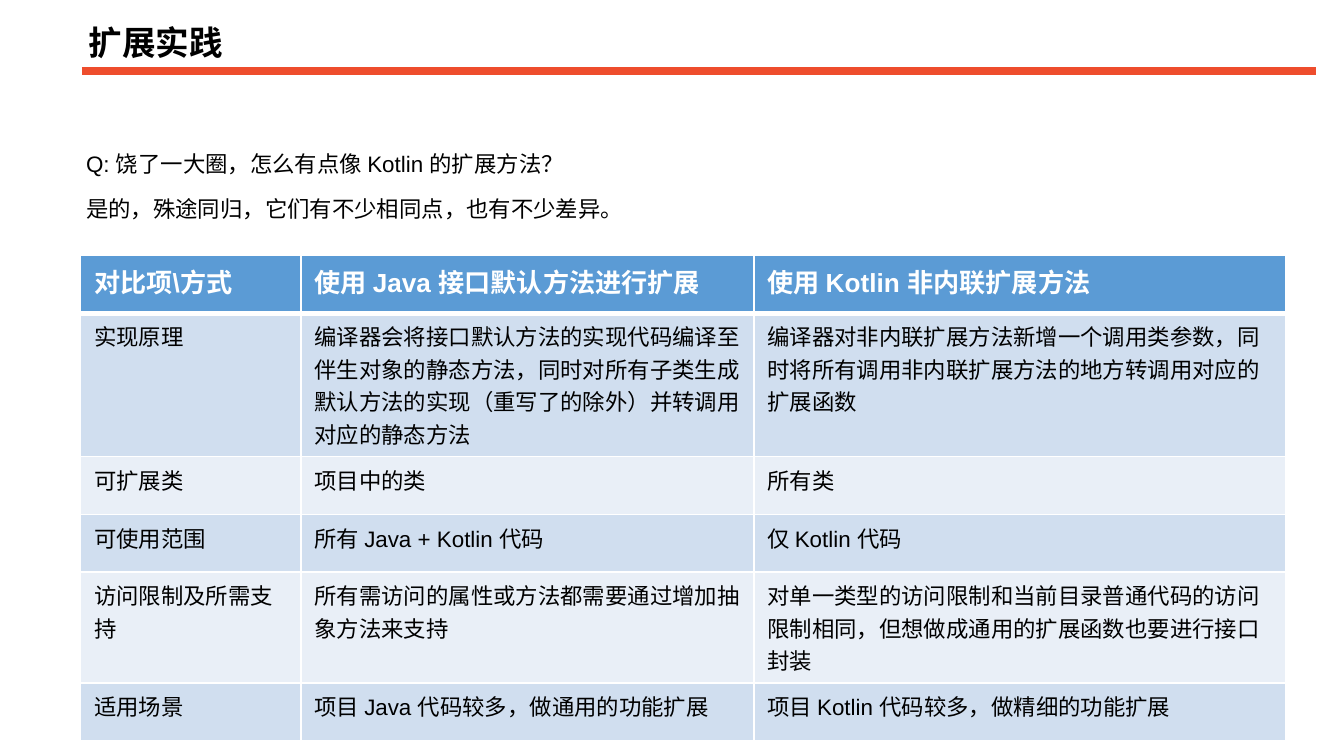
from lxml import etree
from pptx import Presentation
from pptx.dml.color import RGBColor
from pptx.enum.shapes import MSO_CONNECTOR
from pptx.enum.text import MSO_ANCHOR, MSO_AUTO_SIZE, PP_ALIGN
from pptx.oxml.ns import qn
from pptx.util import Inches, Pt

STRAIGHT = MSO_CONNECTOR.STRAIGHT
TOP, BOTTOM = MSO_ANCHOR.TOP, MSO_ANCHOR.BOTTOM
LEFT = PP_ALIGN.LEFT
NO_FIT = MSO_AUTO_SIZE.NONE
FONT = "Arial"
BLACK, WHITE, RED = "000000", "FFFFFF", "EE4D2D"
BLUE, BANDS = "5B9BD5", ("D0DEEF", "E9EFF7")

TITLE = "扩展实践"
TALK = ("Q: 饶了一大圈，怎么有点像 Kotlin 的扩展方法？",
        "是的，殊途同归，它们有不少相同点，也有不少差异。")
COLS = (1.64, 3.37, 3.96)
ROWS = (
    (0.43, "对比项\\方式", "使用 Java 接口默认方法进行扩展", "使用 Kotlin 非内联扩展方法"),
    (0.81, "实现原理",
     "编译器会将接口默认方法的实现代码编译至伴生对象的静态方法，同时对所有子类生成默认方法的实现（重写了的除外）并转调用对应的静态方法",
     "编译器对非内联扩展方法新增一个调用类参数，同时将所有调用非内联扩展方法的地方转调用对应的扩展函数"),
    (0.43, "可扩展类", "项目中的类", "所有类"),
    (0.43, "可使用范围", "所有 Java + Kotlin 代码", "仅 Kotlin 代码"),
    (0.63, "访问限制及所需支持",
     "所有需访问的属性或方法都需要通过增加抽象方法来支持",
     "对单一类型的访问限制和当前目录普通代码的访问限制相同，但想做成通用的扩展函数也要进行接口封装"),
    (0.43, "适用场景", "项目 Java 代码较多，做通用的功能扩展",
     "项目 Kotlin 代码较多，做精细的功能扩展"),
)


def rgb(code):
    return RGBColor.from_string(code)


def style(para, size, color=BLACK, bold=False):
    para.alignment = LEFT
    for run in para.runs:
        font = run.font
        font.name, font.size, font.bold = FONT, Pt(size), bold
        font.color.rgb = rgb(color)


def place(shape, box):
    shape.left, shape.top, shape.width, shape.height = map(Inches, box)


def write(shape, text, box, inset, size, anchor=TOP, bold=False):
    place(shape, box)
    frame = shape.text_frame
    frame.text = text
    frame.word_wrap, frame.auto_size = True, NO_FIT
    frame.vertical_anchor = anchor
    frame.margin_left = frame.margin_right = Inches(inset)
    frame.margin_top = frame.margin_bottom = Inches(inset)
    para = frame.paragraphs[0]
    para.space_before = Pt(0)
    style(para, size, bold=bold)
    return para


def add_head(slide, box):
    x, y, w, h = box
    # Red rule under the title
    edge = Inches(y + h)
    rule = slide.shapes.add_connector(STRAIGHT, Inches(x + 0.01), edge, Inches(9.79), edge)
    rule.line.color.rgb = rgb(RED)
    rule.line.width = Pt(4)
    etree.SubElement(rule._element.spPr, qn("a:effectLst"))
    # Title
    para = write(slide.shapes.title, TITLE, box, 0.06, 18, BOTTOM, True)
    para.line_spacing = 0.9


def add_talk(slide, box):
    x, y, w, h = box
    # Question, without a bullet
    para = write(slide.placeholders[1], TALK[0], box, 0.04, 12)
    props = para._p.get_or_add_pPr()
    props.set("marL", "0")
    props.set("indent", "0")
    etree.SubElement(props, qn("a:buNone"))
    # Answer
    low = (x, y + 0.33, w, 0.42)
    write(slide.shapes.add_textbox(0, 0, 0, 0), TALK[1], low, 0.04, 12)


def add_edges(cell, top, bottom):
    props = cell._tc.get_or_add_tcPr()
    sides = (("L", 1), ("R", 1), ("T", top), ("B", bottom))
    for i, (side, width) in enumerate(sides):
        line = etree.Element(qn(f"a:ln{side}"), w=str(Pt(width)))
        fill = etree.SubElement(line, qn("a:solidFill"))
        etree.SubElement(fill, qn("a:srgbClr"), val=WHITE)
        props.insert(i, line)


def add_grid(slide, box):
    table = slide.shapes.add_table(len(ROWS), len(COLS), *map(Inches, box)).table
    for col, width in zip(table.columns, COLS):
        col.width = Inches(width)
    for r, (height, *texts) in enumerate(ROWS):
        table.rows[r].height = Inches(height)
        head = r == 0
        for c, text in enumerate(texts):
            cell = table.cell(r, c)
            cell.text = text
            cell.fill.solid()
            cell.fill.fore_color.rgb = rgb(BLUE if head else BANDS[(r - 1) % 2])
            add_edges(cell, 3 if r == 1 else 1, 3 if head else 1)
            style(cell.text_frame.paragraphs[0], 14 if head else 12,
                  WHITE if head else BLACK, head)


def main():
    deck = Presentation()
    # Widescreen, 16 to 9
    deck.slide_width = Inches(10)
    deck.slide_height = Inches(10 * 9 / 16)
    slide = deck.slides.add_slide(deck.slide_layouts[1])
    add_head(slide, (0.6, 0.05, 8.81, 0.48))
    add_talk(slide, (0.6, 1.08, 4.29, 0.47))
    add_grid(slide, (0.6, 1.9, sum(COLS), sum(row[0] for row in ROWS)))
    deck.save("out.pptx")


if __name__ == "__main__":
    main()
